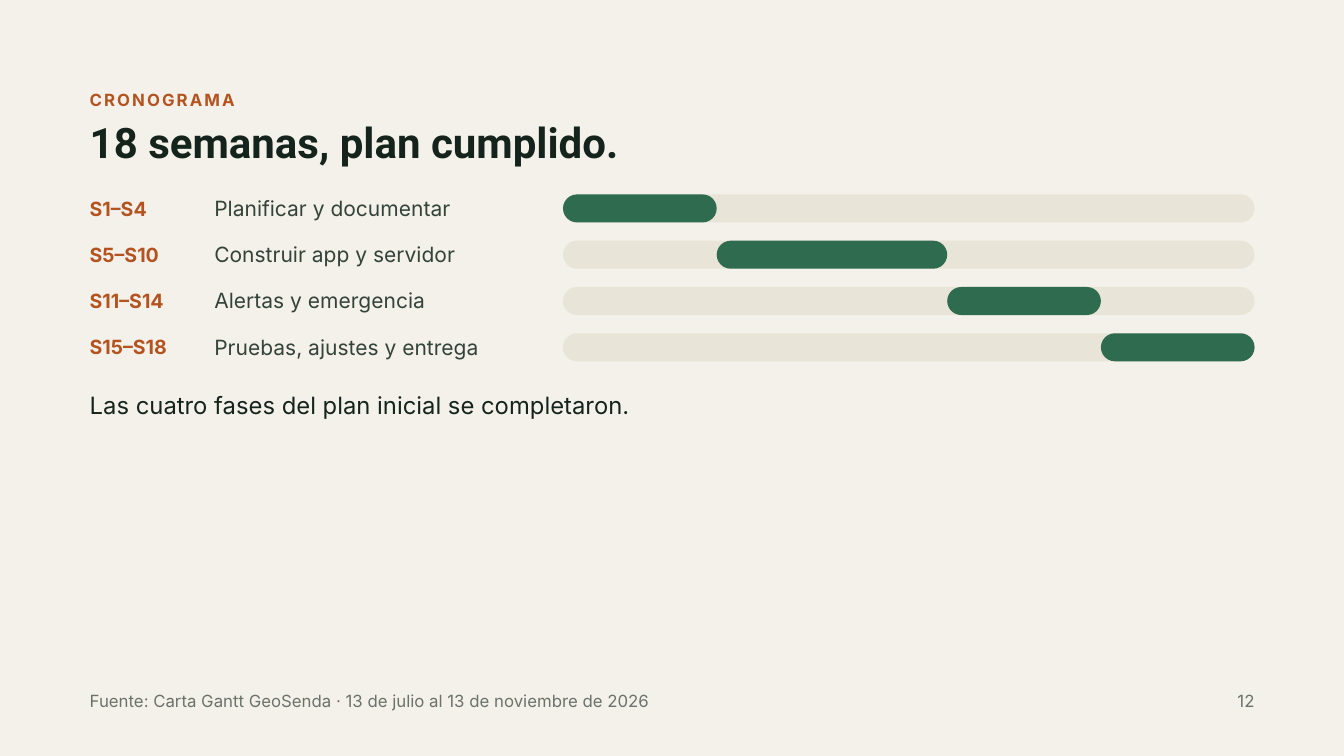
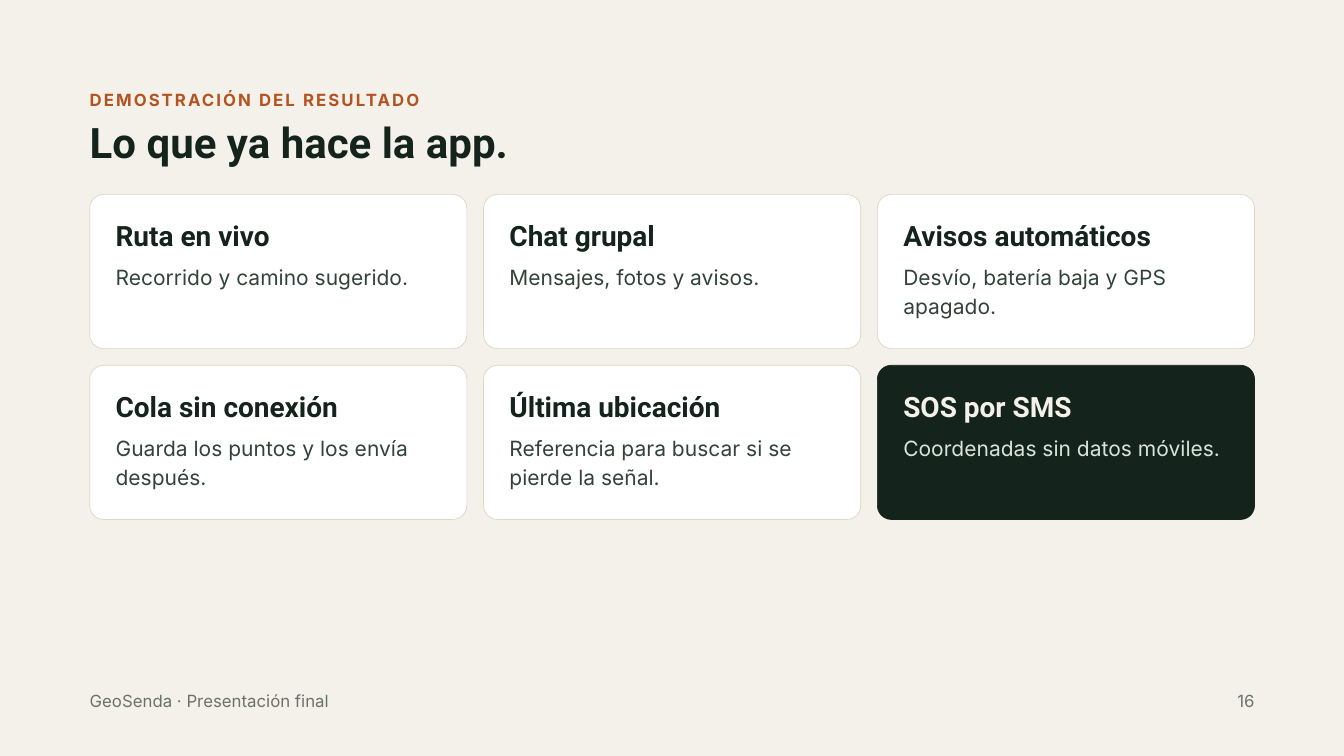
"""Build two slides of a project presentation: the schedule and the app features."""
from pptx import Presentation
from pptx.dml.color import RGBColor
from pptx.enum.shapes import MSO_SHAPE
from pptx.enum.text import MSO_ANCHOR, MSO_AUTO_SIZE, PP_ALIGN
from pptx.util import Cm, Pt

PAPER, INK, BODY, MUTED = "F4F1EA", "14231C", "33433A", "6B726C"
ACCENT, GREEN, TRACK = "B4531F", "2F6B4F", "E9E4D8"
WHITE, BORDER, MINT = "FFFFFF", "DDD6C6", "D9E3DC"
SANS, DISPLAY = "Inter", "Roboto"

LEFT, CONTENT_TOP, CONTENT_WIDTH = 3.39, 7.35, 44.03
RIGHT = LEFT + CONTENT_WIDTH
WEEKS = 18
BAR_LEFT, BAR_HEIGHT, ROW_STEP = 21.28, 1.06, 1.75
CARD_COLUMNS, CARD_HEIGHT, CARD_GAP, CARD_RADIUS = 3, 5.83, 0.63, 0.53
CARD_PADDING = 0.98

PHASES = [
    (1, 4, "Planificar y documentar"),
    (5, 10, "Construir app y servidor"),
    (11, 14, "Alertas y emergencia"),
    (15, 18, "Pruebas, ajustes y entrega"),
]
FEATURES = [
    ("Ruta en vivo", "Recorrido y camino sugerido."),
    ("Chat grupal", "Mensajes, fotos y avisos."),
    ("Avisos automáticos", "Desvío, batería baja y GPS apagado."),
    ("Cola sin conexión", "Guarda los puntos y los envía después."),
    ("Última ubicación", "Referencia para buscar si se pierde la señal."),
    ("SOS por SMS", "Coordenadas sin datos móviles."),
]


def color(value):
    return RGBColor.from_string(value)


def place(shape, left, top, width, height):
    shape.left, shape.top = Cm(left), Cm(top)
    shape.width, shape.height = Cm(width), Cm(height)


def write(shape, text, size, ink, leading, font=SANS, bold=False, tracking=0,
          align=PP_ALIGN.LEFT):
    frame = shape.text_frame
    frame.word_wrap = True
    frame.auto_size = MSO_AUTO_SIZE.NONE
    frame.vertical_anchor = MSO_ANCHOR.TOP
    frame.margin_left = frame.margin_right = frame.margin_top = frame.margin_bottom = 0
    frame.text = text
    para = frame.paragraphs[0]
    para.alignment = align
    para.line_spacing = Pt(leading)
    span = para.runs[0]
    span.font.name, span.font.size, span.font.bold = font, Pt(size), bold
    span.font.color.rgb = color(ink)
    if tracking:
        span._r.get_or_add_rPr().set("spc", str(round(tracking * 100)))


def add_text(page, left, top, width, height, text, size, ink, leading, **style):
    box = page.shapes.add_textbox(Cm(left), Cm(top), Cm(width), Cm(height))
    write(box, text, size, ink, leading, **style)


def add_rounded(page, left, top, width, height, radius, fill, line=None):
    shape = page.shapes.add_shape(MSO_SHAPE.ROUNDED_RECTANGLE, Cm(left), Cm(top),
                                  Cm(width), Cm(height))
    shape.adjustments[0] = radius / min(width, height)
    shape.shadow.inherit = False
    shape.fill.solid()
    shape.fill.fore_color.rgb = color(fill)
    if line:
        shape.line.color.rgb = color(line)
        shape.line.width = Pt(0.75)
    else:
        shape.line.fill.background()


def add_page(deck, section, title, footer, number):
    page = deck.slides.add_slide(deck.slide_layouts[5])
    add_text(page, LEFT, 3.39, CONTENT_WIDTH, 0.86, section, 18, ACCENT, 21.6,
             bold=True, tracking=2.2)
    place(page.shapes.title, LEFT, 4.47, CONTENT_WIDTH, 1.93)
    write(page.shapes.title, title, 45, INK, 51.7, font=DISPLAY, bold=True)
    add_text(page, LEFT, 26.11, 38.15, 0.86, footer, 18, MUTED, 21.6)
    add_text(page, RIGHT - 2, 26.11, 2, 0.86, str(number), 18, MUTED, 21.6,
             align=PP_ALIGN.RIGHT)
    return page


def add_phase(page, row, first, last, name):
    top = CONTENT_TOP + row * ROW_STEP
    bar_width = RIGHT - BAR_LEFT
    week = bar_width / WEEKS
    add_text(page, LEFT, top + 0.08, 4.19, 0.99, f"S{first}–S{last}", 21, ACCENT, 25.2,
             bold=True)
    add_text(page, 8.1, top + 0.03, 12.8, 1.09, name, 22.5, BODY, 27)
    add_rounded(page, BAR_LEFT, top, bar_width, BAR_HEIGHT, BAR_HEIGHT / 2, TRACK)
    add_rounded(page, BAR_LEFT + (first - 1) * week, top, (last - first + 1) * week,
                BAR_HEIGHT, BAR_HEIGHT / 2, GREEN)


def add_card(page, index, heading, detail, dark):
    row, column = divmod(index, CARD_COLUMNS)
    width = (CONTENT_WIDTH - (CARD_COLUMNS - 1) * CARD_GAP) / CARD_COLUMNS
    left = LEFT + column * (width + CARD_GAP)
    top = CONTENT_TOP + row * (CARD_HEIGHT + CARD_GAP)
    fill, line, heading_ink, detail_ink = (
        (INK, INK, PAPER, MINT) if dark else (WHITE, BORDER, INK, BODY))
    add_rounded(page, left, top, width, CARD_HEIGHT, CARD_RADIUS, fill, line)
    text_left, text_width = left + CARD_PADDING, 12.67
    add_text(page, text_left, top + 0.93, text_width, 1.42, heading, 30, heading_ink, 36,
             font=DISPLAY, bold=True)
    add_text(page, text_left, top + 2.48, text_width, 2.46, detail, 22.5, detail_ink, 31.5)


def build_schedule(deck):
    page = add_page(deck, "CRONOGRAMA", "18 semanas, plan cumplido.",
                    "Fuente: Carta Gantt GeoSenda · 13 de julio al 13 de noviembre de 2026", 12)
    for row, (first, last, name) in enumerate(PHASES):
        add_phase(page, row, first, last, name)
    add_text(page, LEFT, 14.58, CONTENT_WIDTH, 1.5,
             "Las cuatro fases del plan inicial se completaron.", 25.5, INK, 35.7)


def build_features(deck):
    page = add_page(deck, "DEMOSTRACIÓN DEL RESULTADO", "Lo que ya hace la app.",
                    "GeoSenda · Presentación final", 16)
    for index, (heading, detail) in enumerate(FEATURES):
        add_card(page, index, heading, detail, dark=index == len(FEATURES) - 1)


def main():
    deck = Presentation()
    deck.slide_width, deck.slide_height = Cm(50.8), Cm(28.58)
    background = deck.slide_master.background.fill
    background.solid()
    background.fore_color.rgb = color(PAPER)
    build_schedule(deck)
    build_features(deck)
    deck.save("out.pptx")


if __name__ == "__main__":
    main()
